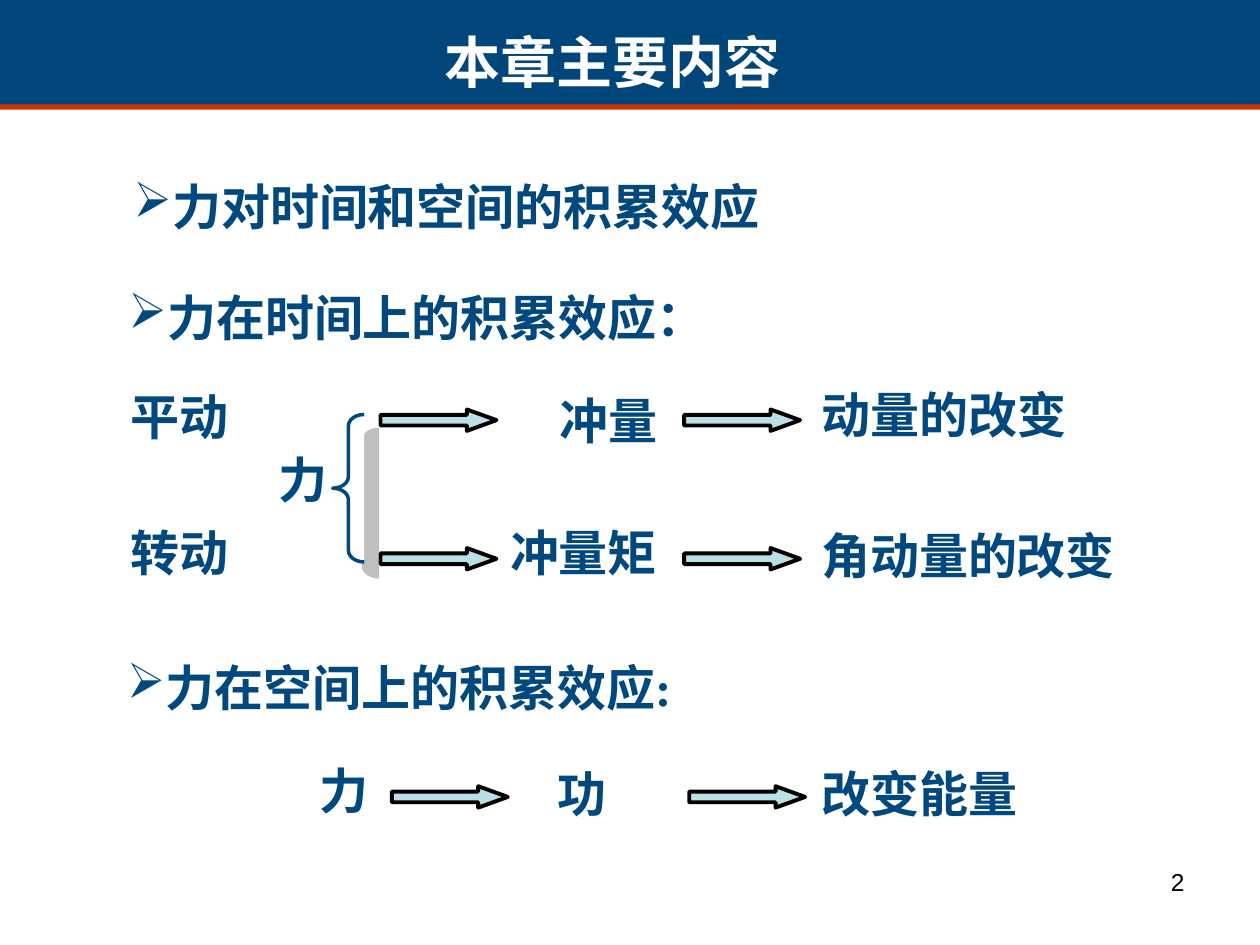
from dataclasses import dataclass
from typing import Optional

from lxml import etree
from pptx import Presentation
from pptx.dml.color import RGBColor
from pptx.enum.lang import MSO_LANGUAGE_ID as Language
from pptx.enum.shapes import MSO_SHAPE as Preset
from pptx.enum.text import MSO_AUTO_SIZE as AutoSize, PP_ALIGN as Align
from pptx.oxml.ns import qn
from pptx.util import Emu, Pt

PX = 9144  # 100 px to the inch
CJK_FONT = "Noto Sans CJK SC"
COLORS = {
    "banner": "00467A",
    "rule": "CC3300",
    "text": "00487E",
    "white": "FFFFFF",
    "black": "000000",
    "arrow": "BBE0E3",
    "shadow": "808080",
}


@dataclass
class Label:
    text: str
    left: int
    top: int
    width: int
    height: int = 57
    size: int = 28
    font: str = "Times New Roman"
    color: str = "text"
    bold: bool = True
    align: Align = Align.LEFT
    bullet: Optional[str] = None
    line_spacing: Optional[float] = None
    fit: bool = True


@dataclass
class Block:
    preset: Preset
    left: int
    top: int
    width: int
    height: int
    fill: str
    line: Optional[str] = None
    line_width: float = 0
    adjustments: tuple = ()


def px(*lengths: int) -> list:
    return [Emu(length * PX) for length in lengths]


def rgb(name: str) -> RGBColor:
    return RGBColor.from_string(COLORS[name])


def set_format(target, values: dict) -> None:
    for name, value in values.items():
        setattr(target, name, value)


def add_bullet(para, mark: str, color: str) -> None:
    properties = para._p.get_or_add_pPr()
    properties.set("marL", "0")
    properties.set("indent", "0")
    tint = etree.SubElement(properties, qn("a:buClr"))
    etree.SubElement(tint, qn("a:srgbClr"), val=COLORS[color])
    etree.SubElement(properties, qn("a:buChar"), char=mark)


def draw_label(page, label: Label) -> None:
    box = page.shapes.add_textbox(*px(label.left, label.top, label.width, label.height))
    frame = box.text_frame
    set_format(frame, {
        "word_wrap": True,
        "auto_size": AutoSize.SHAPE_TO_FIT_TEXT if label.fit else AutoSize.NONE,
    })
    para = frame.paragraphs[0]
    set_format(para, {"alignment": label.align, "line_spacing": label.line_spacing})
    if label.bullet:
        add_bullet(para, label.bullet, label.color)
    span = para.add_run()
    span.text = label.text
    set_format(span.font, {
        "name": label.font,
        "size": Pt(label.size),
        "bold": label.bold,
        "language_id": Language.SIMPLIFIED_CHINESE,
    })
    span.font.color.rgb = rgb(label.color)
    etree.SubElement(span._r.get_or_add_rPr(), qn("a:ea"), typeface=CJK_FONT)


def draw_block(page, block: Block):
    shape = page.shapes.add_shape(
        block.preset, *px(block.left, block.top, block.width, block.height))
    shape.shadow.inherit = False
    shape.fill.solid()
    shape.fill.fore_color.rgb = rgb(block.fill)
    for index, value in enumerate(block.adjustments):
        shape.adjustments[index] = value
    if block.line:
        shape.line.color.rgb = rgb(block.line)
        shape.line.width = Pt(block.line_width)
    else:
        shape.line.fill.background()
    return shape


def draw_arrow(page, left: int, top: int) -> None:
    draw_block(page, Block(Preset.RIGHT_ARROW, left, top, 92, 17,
                           "arrow", "black", 2.25, (0.5, 1.38)))


def cast_shadow(shape, distance: float, degrees: int, opacity: int) -> None:
    effects = shape._element.spPr.find(qn("a:effectLst"))
    shadow = etree.SubElement(effects, qn("a:outerShdw"), blurRad="0",
                              dist=str(Pt(distance)), dir=str(degrees * 60000),
                              algn="ctr", rotWithShape="0")
    tint = etree.SubElement(shadow, qn("a:srgbClr"), val=COLORS["shadow"])
    etree.SubElement(tint, qn("a:alpha"), val=str(opacity * 1000))


BANNER = [
    Block(Preset.RECTANGLE, 0, 79, 1000, 8, "rule"),
    Block(Preset.RECTANGLE, 0, 0, 1000, 83, "banner"),
]
BRACE = Block(Preset.LEFT_BRACE, 264, 329, 25, 117, "white", "text", 2, (0.36, 0.5))
ARROWS = [(302, 325), (543, 325), (302, 435), (543, 435), (311, 624), (547, 624)]
LABELS = [
    # Title and page number
    Label("本章主要内容", 258, 17, 457, 64, size=32, font=CJK_FONT,
          color="white", align=Align.CENTER),
    Label("2", 717, 683, 233, 52, size=14, font="Arial", color="black",
          bold=False, align=Align.RIGHT, fit=False),
    # Headings
    Label("力对时间和空间的积累效应", 96, 121, 545, 71, font="Arial",
          align=Align.JUSTIFY, bullet="➢", line_spacing=1.3),
    Label("力在时间上的积累效应：", 92, 223, 499, align=Align.JUSTIFY, bullet="➢"),
    Label("力在空间上的积累效应:", 91, 517, 606, align=Align.JUSTIFY, bullet="➢"),
    # Effects over time
    Label("平动", 94, 302, 208),
    Label("冲量", 434, 305, 132),
    Label("动量的改变", 642, 300, 232),
    Label("转动", 94, 410, 177),
    Label("冲量矩", 395, 410, 147),
    Label("角动量的改变", 642, 412, 267),
    Label("力", 211, 352, 89),
    # Effects over space
    Label("力", 244, 599, 169, align=Align.JUSTIFY),
    Label("功", 433, 601, 169, align=Align.JUSTIFY),
    Label("改变能量", 642, 601, 205),
]


def main() -> None:
    deck = Presentation()
    deck.slide_width, deck.slide_height = px(1000, 750)
    page = deck.slides.add_slide(deck.slide_layouts[6])
    for block in BANNER:
        draw_block(page, block)
    for left, top in ARROWS:
        draw_arrow(page, left, top)
    for label in LABELS:
        draw_label(page, label)
    brace = draw_block(page, BRACE)
    cast_shadow(brace, 12.1, 45, 50)
    deck.save("out.pptx")


if __name__ == "__main__":
    main()
